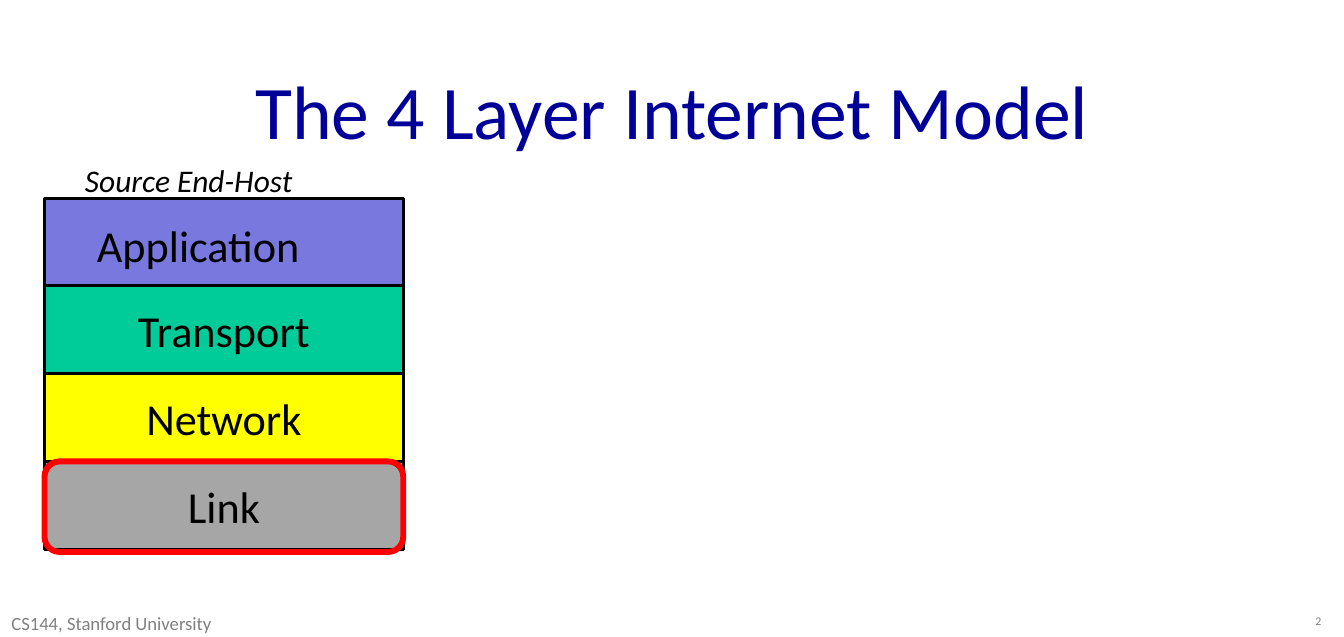
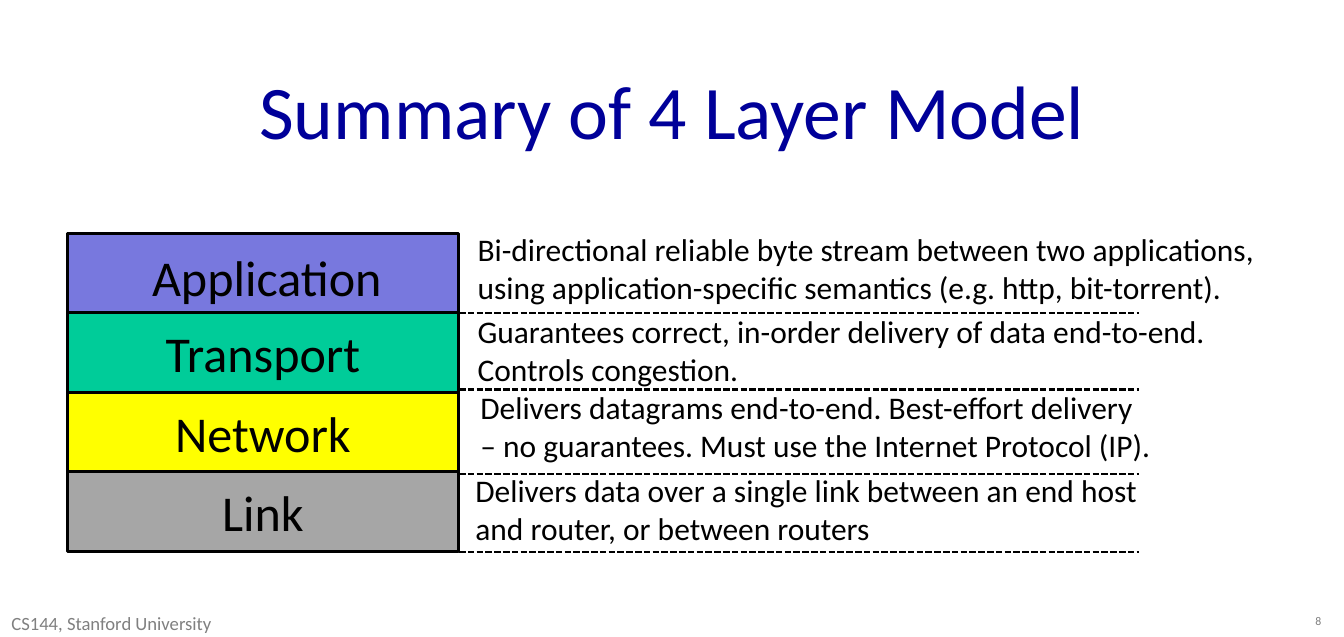
from lxml import etree
from pptx import Presentation
from pptx.dml.color import RGBColor
from pptx.enum import dml, shapes, text
from pptx.oxml.ns import qn
from pptx.util import Cm, Pt

# Shared look
FONT = "Calibri"
HEX = {"title": "000099", "ink": "000000", "foot": "808080", "ring": "FF0000"}
LEFT, MID, RIGHT = text.PP_ALIGN.LEFT, text.PP_ALIGN.CENTER, text.PP_ALIGN.RIGHT
WIDE = (0.41, 0.2, 0.41, 0.2)
SLIM = (0.25, 0.13, 0.25, 0.13)

# Content, lengths in cm
FOOT = "CS144, Stanford University"
LAYERS = [
    ("Application", "7878DE"),
    ("Transport", "00CC99"),
    ("Network", "FFFF00"),
    ("Link", "A6A6A6"),
]
# Left, top, width, row height, text size, indent of the first label
MODEL = (1.6, 7.11, 12.88, 3.15, 45, 1.88)
SUMMARY = (2.41, 8.38, 14.07, 2.85, 51, 3.05)
# Left, top, width, text
ROLES = [
    (16.74, 8.05, 29.4, "Bi-directional reliable byte stream between two applications, "
     "using application-specific semantics (e.g. http, bit-torrent)."),
    (16.74, 11, 28.58, "Guarantees correct, in-order delivery of data end-to-end. "
     "Controls congestion."),
    (16.84, 13.72, 26, "Delivers datagrams end-to-end. Best-effort delivery \n"
     "– no guarantees. Must use the Internet Protocol (IP)."),
    (16.66, 16.71, 26, "Delivers data over a single link between an end host \n"
     "and router, or between routers"),
]
RULES = [11.24, 13.98, 17, 19.82]
RULE_END = 40.89


def color(name):
    return RGBColor.from_string(HEX.get(name, name))


def write(shape, words, size, ink="ink", align=LEFT, pad=WIDE, middle=False, italic=None):
    frame = shape.text_frame
    frame.word_wrap = True
    frame.auto_size = text.MSO_AUTO_SIZE.NONE
    frame.vertical_anchor = text.MSO_ANCHOR.MIDDLE if middle else text.MSO_ANCHOR.TOP
    (frame.margin_left, frame.margin_top,
     frame.margin_right, frame.margin_bottom) = map(Cm, pad)
    para = frame.paragraphs[0]
    para.alignment = align
    for i, line in enumerate(words.split("\n")):
        if i:
            para.add_line_break()
        run = para.add_run()
        run.text = line
        run.font.name, run.font.size, run.font.italic = FONT, Pt(size), italic
        run.font.color.rgb = color(ink)


def label(slide, box, words, size, **style):
    write(slide.shapes.add_textbox(*map(Cm, box)), words, size, **style)


def block(slide, kind, box, fill, line, weight):
    shape = slide.shapes.add_shape(kind, *map(Cm, box))
    shape.shadow.inherit = False
    if fill:
        shape.fill.solid()
        shape.fill.fore_color.rgb = color(fill)
    else:
        shape.fill.background()
    shape.line.color.rgb = color(line)
    shape.line.width = Pt(weight)
    return shape


def rule(slide, x, y, end):
    line = slide.shapes.add_connector(
        shapes.MSO_CONNECTOR.STRAIGHT, Cm(x), Cm(y), Cm(end), Cm(y))
    line.line.color.rgb = color("ink")
    line.line.width = Pt(2.25)
    line.line.dash_style = dml.MSO_LINE.SQUARE_DOT
    etree.SubElement(line._element.spPr, qn("a:effectLst"))


def stack(slide, x, y, wide, high, size, indent):
    for i, (name, fill) in enumerate(LAYERS):
        row = block(slide, shapes.MSO_SHAPE.RECTANGLE,
                    (x, y + i * high, wide, high), fill, "ink", 3)
        # The first label is set from the left and a little low
        align, pad = (MID, SLIM) if i else (LEFT, (indent, 0.36, 0, 0.13))
        write(row, name, size, align=align, pad=pad, middle=True)


def page(deck, title, number):
    slide = deck.slides.add_slide(deck.slide_layouts[5])
    head = slide.shapes.title
    head.left, head.top, head.width, head.height = map(Cm, (3.63, 2.03, 41.02, 3.81))
    write(head, title, 77, ink="title", align=MID, middle=True)
    label(slide, (0, 21.77, 15.29, 1.09), FOOT, 19, ink="foot")
    label(slide, (37.8, 21.84, 10.06, 1.52), number, 12, ink="foot", align=RIGHT)
    return slide


def main():
    deck = Presentation()
    deck.slide_width, deck.slide_height = Cm(48.26), Cm(22.86)

    # Layer model with the link layer ringed
    slide = page(deck, "The 4 Layer Internet Model", "2")
    stack(slide, *MODEL)
    x, y, wide, high = MODEL[:4]
    block(slide, shapes.MSO_SHAPE.ROUNDED_RECTANGLE,
          (x, y + 3 * high, wide, 3.25), None, "ring", 6)
    label(slide, (2.64, 5.59, 9, 1.75), "Source End-Host", 32, italic=True)

    # Summary of what each layer does
    slide = page(deck, "Summary of 4 Layer Model", "8")
    stack(slide, *SUMMARY)
    for left, top, width, words in ROLES:
        label(slide, (left, top, width, 3.12), words, 32)
    for y in RULES:
        rule(slide, SUMMARY[0] + SUMMARY[2], y, RULE_END)

    deck.save("out.pptx")


if __name__ == "__main__":
    main()
